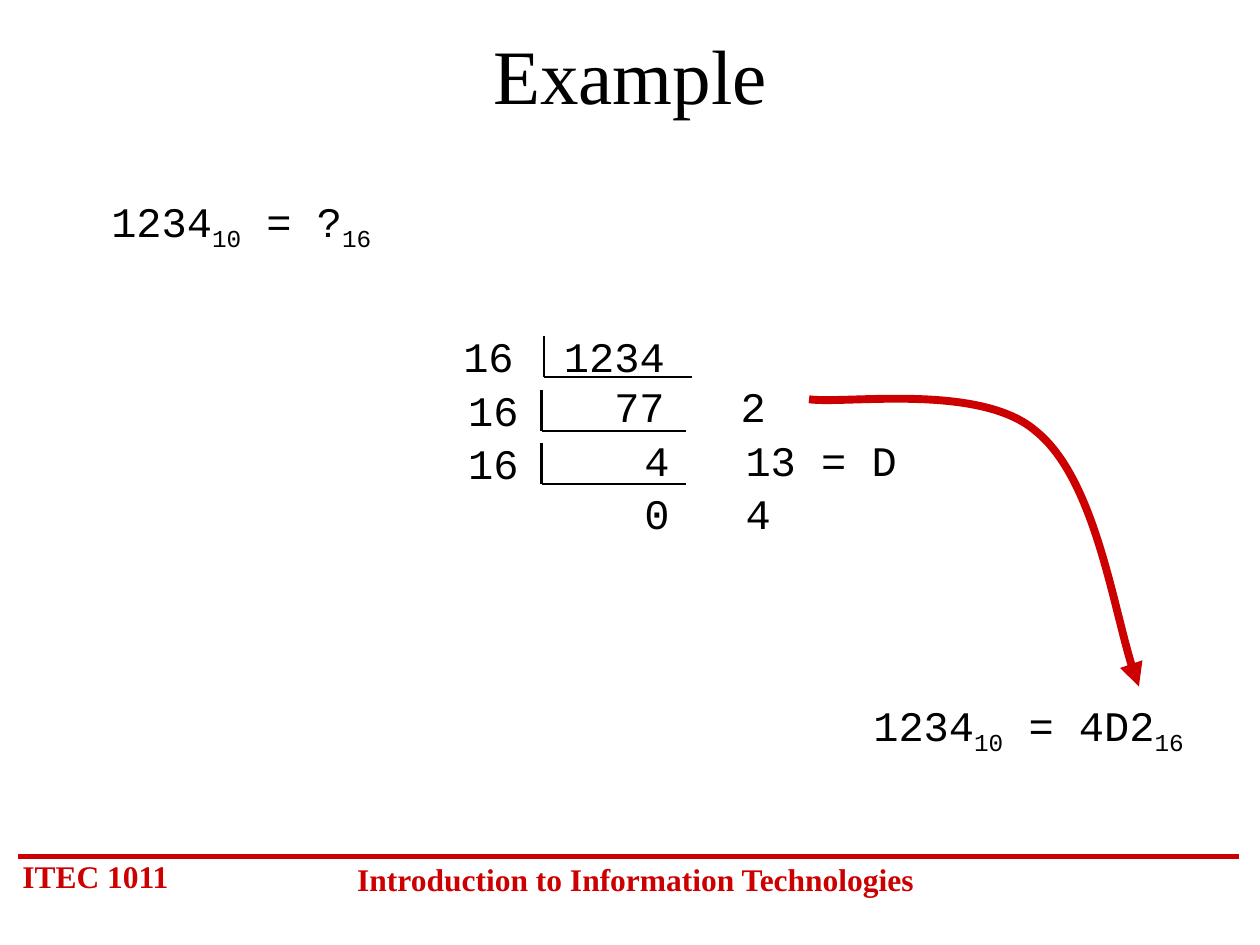
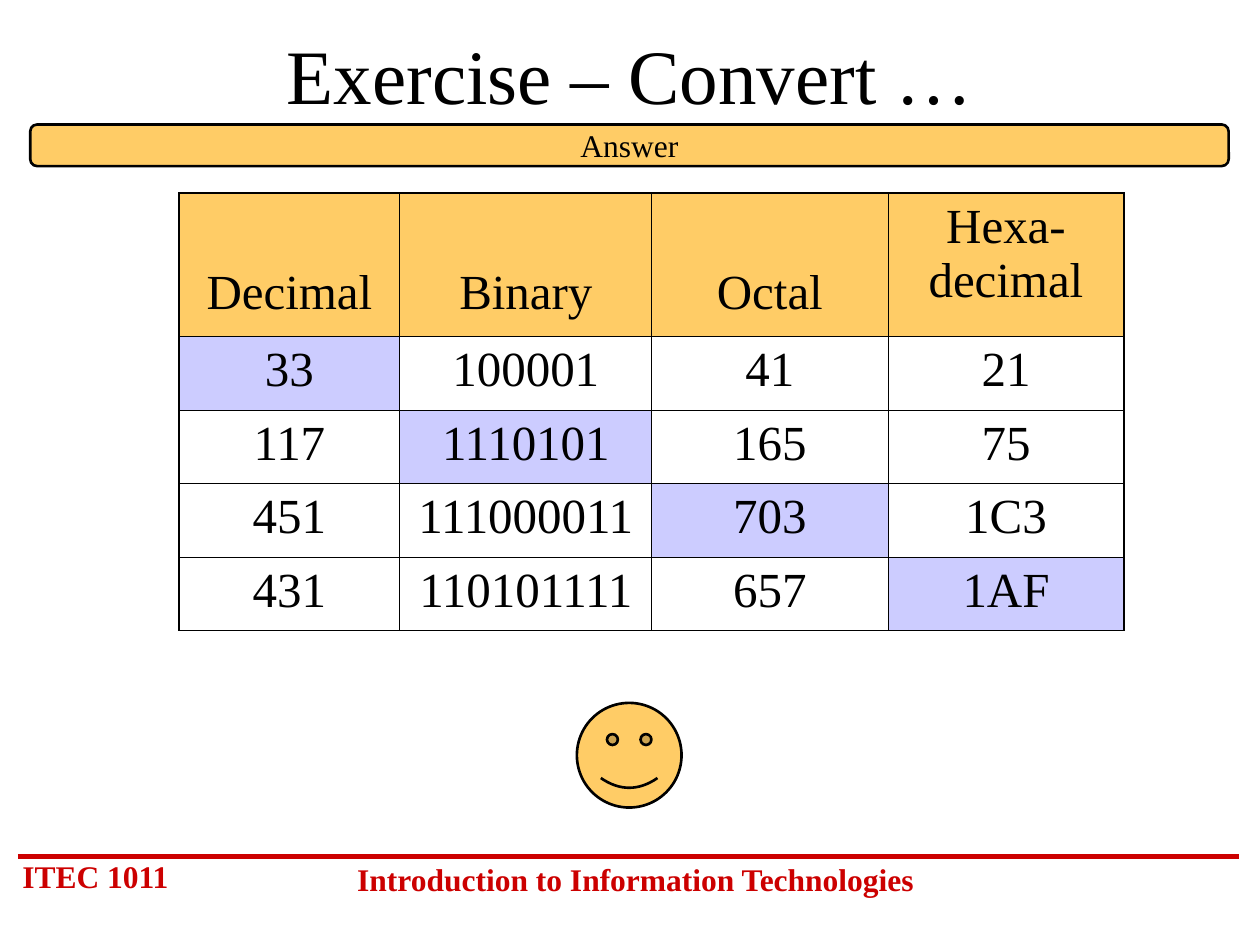
from dataclasses import dataclass

from lxml.etree import SubElement
from pptx import Presentation
from pptx.dml.color import RGBColor
from pptx.enum.shapes import MSO_CONNECTOR, MSO_SHAPE
from pptx.enum.text import MSO_ANCHOR, MSO_AUTO_SIZE, PP_ALIGN
from pptx.oxml.ns import qn
from pptx.util import Cm, Pt

COLORS = {"red": "CC0000", "black": "000000", "gold": "FFCC66", "lilac": "CCCCFF"}
SERIF = "Times New Roman"
MONO = "Courier New"


@dataclass(frozen=True)
class Box:
    left: float
    top: float
    width: float
    height: float

    def lengths(self) -> tuple:
        return Cm(self.left), Cm(self.top), Cm(self.width), Cm(self.height)


@dataclass(frozen=True)
class FooterLabel:
    text: str
    box: Box
    alignment: PP_ALIGN


@dataclass(frozen=True)
class Formula:
    box: Box
    result: str


@dataclass(frozen=True)
class DivisionStep:
    box: Box
    lines: tuple
    bracket_left: float
    bracket_right: float


FOOTER_LABELS = (
    FooterLabel("ITEC 1011", Box(0.2, 17.15, 3.81, 1.02), PP_ALIGN.LEFT),
    FooterLabel("Introduction to Information Technologies",
                Box(6.78, 17.22, 12.07, 1.02), PP_ALIGN.CENTER),
)
FORMULAS = (
    Formula(Box(0.84, 3.81, 8.05, 1.42), "?"),
    Formula(Box(16.71, 13.97, 8.05, 1.42), "4D2"),
)
DIVISION_STEPS = (
    DivisionStep(Box(9.09, 6.53, 6.86, 2.29), ("16\t1234", "\t77\t2"), 10.97, 13.94),
    DivisionStep(Box(9.19, 7.62, 9.86, 2.29), ("16", "\t4\t13 = D"), 10.92, 13.82),
    DivisionStep(Box(9.19, 8.69, 9.86, 2.29), ("16", "\t0\t4"), 10.92, 13.82),
)
DIVISION_TABS = ((4.06, "r"), (5.59, "l"))
BRACKET_DROP = 0.24
BRACKET_HEIGHT = 0.83
ARROW_POINTS = (
    (16.31, 8.05),
    (17.07, 8.15), (19.76, 7.72), (20.88, 8.69),
    (22.05, 9.63), (22.53, 12.78), (22.96, 13.84),
)
TABLE_ROWS = (
    ("Decimal", "Binary", "Octal", "Hexa-\vdecimal"),
    ("33", "100001", "41", "21"),
    ("117", "1110101", "165", "75"),
    ("451", "111000011", "703", "1C3"),
    ("431", "110101111", "657", "1AF"),
)
COLUMN_WIDTHS = (4.45, 5.08, 4.76, 4.76)
HEADER_HEIGHT = 2.9
ROW_HEIGHT = 1.48


def color(name: str) -> RGBColor:
    return RGBColor.from_string(COLORS[name])


def style_paragraph(paragraph, size: float, font_name: str = SERIF, color_name: str = "black",
                    alignment=PP_ALIGN.CENTER, bold: bool = False) -> None:
    paragraph.alignment = alignment
    font = paragraph.font
    font.name, font.size, font.bold = font_name, Pt(size), bold
    font.color.rgb = color(color_name)


def add_text_frame(slide, box: Box):
    frame = slide.shapes.add_textbox(*box.lengths()).text_frame
    frame.word_wrap = True
    frame.auto_size = MSO_AUTO_SIZE.SHAPE_TO_FIT_TEXT
    return frame


def add_line(slide, start: tuple, end: tuple, color_name: str, width: float) -> None:
    line = slide.shapes.add_connector(
        MSO_CONNECTOR.STRAIGHT, *(Cm(value) for value in start + end))
    line.line.color.rgb = color(color_name)
    line.line.width = Pt(width)
    SubElement(line._element.spPr, qn("a:effectLst"))


def add_gold_shape(slide, kind: MSO_SHAPE, box: Box):
    shape = slide.shapes.add_shape(kind, *box.lengths())
    shape.shadow.inherit = False
    shape.fill.solid()
    shape.fill.fore_color.rgb = color("gold")
    shape.line.color.rgb = color("black")
    shape.line.width = Pt(1.5)
    return shape


def add_slide(presentation, title: str):
    slide = presentation.slides.add_slide(presentation.slide_layouts.get_by_name("Title Only"))
    add_line(slide, (0.36, 17.27), (24.97, 17.27), "red", 3)
    for label in FOOTER_LABELS:
        paragraph = add_text_frame(slide, label.box).paragraphs[0]
        paragraph.text = label.text
        style_paragraph(paragraph, 18, color_name="red", alignment=label.alignment, bold=True)
    placeholder = slide.shapes.title
    placeholder.left, placeholder.top, placeholder.width, placeholder.height = Box(
        1.91, 0.43, 21.59, 2.11).lengths()
    frame = placeholder.text_frame
    frame.text = title
    frame.auto_size = MSO_AUTO_SIZE.NONE
    frame.vertical_anchor = MSO_ANCHOR.MIDDLE
    style_paragraph(frame.paragraphs[0], 44)
    return slide


def add_formula(slide, formula: Formula) -> None:
    paragraph = add_text_frame(slide, formula.box).paragraphs[0]
    parts = (("1234", False), ("10", True), (f" = {formula.result}", False), ("16", True))
    for text, subscript in parts:
        run = paragraph.add_run()
        run.text = text
        if subscript:
            run.font._element.set("baseline", "-25000")
    style_paragraph(paragraph, 24, MONO)


def add_division_step(slide, step: DivisionStep) -> None:
    frame = add_text_frame(slide, step.box)
    for index, text in enumerate(step.lines):
        paragraph = frame.add_paragraph() if index else frame.paragraphs[0]
        paragraph.text = text
        tabs = SubElement(paragraph._p.get_or_add_pPr(), qn("a:tabLst"))
        for position, alignment in DIVISION_TABS:
            SubElement(tabs, qn("a:tab"), pos=str(int(Cm(position))), algn=alignment)
        style_paragraph(paragraph, 24, MONO, alignment=PP_ALIGN.LEFT)
    top = step.box.top + BRACKET_DROP
    corner = (step.bracket_left, top + BRACKET_HEIGHT)
    add_line(slide, (step.bracket_left, top), corner, "black", 1.5)
    add_line(slide, corner, (step.bracket_right, corner[1]), "black", 1.5)


def add_curved_arrow(slide, points: tuple) -> None:
    start, *others = [(Cm(x), Cm(y)) for x, y in points]
    builder = slide.shapes.build_freeform(*start)
    builder.add_line_segments(others, close=False)
    arrow = builder.convert_to_shape()
    arrow.shadow.inherit = False
    arrow.fill.background()
    arrow.line.color.rgb = color("red")
    arrow.line.width = Pt(4.5)
    SubElement(arrow.line._get_or_add_ln(), qn("a:tailEnd"), type="triangle")
    path = next(arrow._element.iter(qn("a:path")))
    segments = path.findall(qn("a:lnTo"))
    for first in range(0, len(segments), 3):
        curve = SubElement(path, qn("a:cubicBezTo"))
        for segment in segments[first:first + 3]:
            curve.append(segment[0])
            path.remove(segment)


def set_borders(cell, widths: dict) -> None:
    properties = cell._tc.get_or_add_tcPr()
    for index, (side, width) in enumerate(widths.items()):
        border = properties.makeelement(qn(f"a:{side}"), {"w": str(int(Pt(width)))})
        fill = SubElement(border, qn("a:solidFill"))
        SubElement(fill, qn("a:srgbClr"), val=COLORS["black"])
        properties.insert(index, border)


def add_conversion_table(slide) -> None:
    last_row, last_column = len(TABLE_ROWS) - 1, len(COLUMN_WIDTHS) - 1
    box = Box(3.61, 3.89, sum(COLUMN_WIDTHS), HEADER_HEIGHT + ROW_HEIGHT * last_row)
    table = slide.shapes.add_table(last_row + 1, last_column + 1, *box.lengths()).table
    table.first_row = table.horz_banding = False
    for column, width in zip(table.columns, COLUMN_WIDTHS):
        column.width = Cm(width)
    for row_index, values in enumerate(TABLE_ROWS):
        table.rows[row_index].height = Cm(ROW_HEIGHT if row_index else HEADER_HEIGHT)
        for column_index, value in enumerate(values):
            cell = table.cell(row_index, column_index)
            paragraph = cell.text_frame.paragraphs[0]
            paragraph.text = value
            style_paragraph(paragraph, 28)
            lowered = row_index == 0 and column_index < last_column
            cell.margin_top = Cm(1.46 if lowered else 0.13)
            if row_index == 0 or row_index == column_index + 1:
                cell.fill.solid()
                cell.fill.fore_color.rgb = color("lilac" if row_index else "gold")
            else:
                cell.fill.background()
            outer = {"lnL": column_index == 0, "lnR": column_index == last_column,
                     "lnT": row_index == 0, "lnB": row_index == last_row}
            set_borders(cell, {side: 1.08 if edge else 0.45 for side, edge in outer.items()})


def build_example(presentation) -> None:
    slide = add_slide(presentation, "Example")
    for formula in FORMULAS:
        add_formula(slide, formula)
    add_curved_arrow(slide, ARROW_POINTS)
    for step in DIVISION_STEPS:
        add_division_step(slide, step)


def build_exercise(presentation) -> None:
    slide = add_slide(presentation, "Exercise – Convert …")
    add_conversion_table(slide)
    add_gold_shape(slide, MSO_SHAPE.SMILEY_FACE, Box(11.63, 14.17, 2.11, 2.11))
    bar = add_gold_shape(slide, MSO_SHAPE.ROUNDED_RECTANGLE, Box(0.61, 2.51, 24.16, 0.84))
    frame = bar.text_frame
    frame.margin_top = frame.margin_bottom = 0
    frame.vertical_anchor = MSO_ANCHOR.MIDDLE
    frame.text = "Answer"
    style_paragraph(frame.paragraphs[0], 18)


def main() -> None:
    """Build the number conversion slides and save them."""
    presentation = Presentation()
    presentation.slide_width, presentation.slide_height = Cm(25.4), Cm(19.05)
    build_example(presentation)
    build_exercise(presentation)
    presentation.save("out.pptx")


if __name__ == "__main__":
    main()
